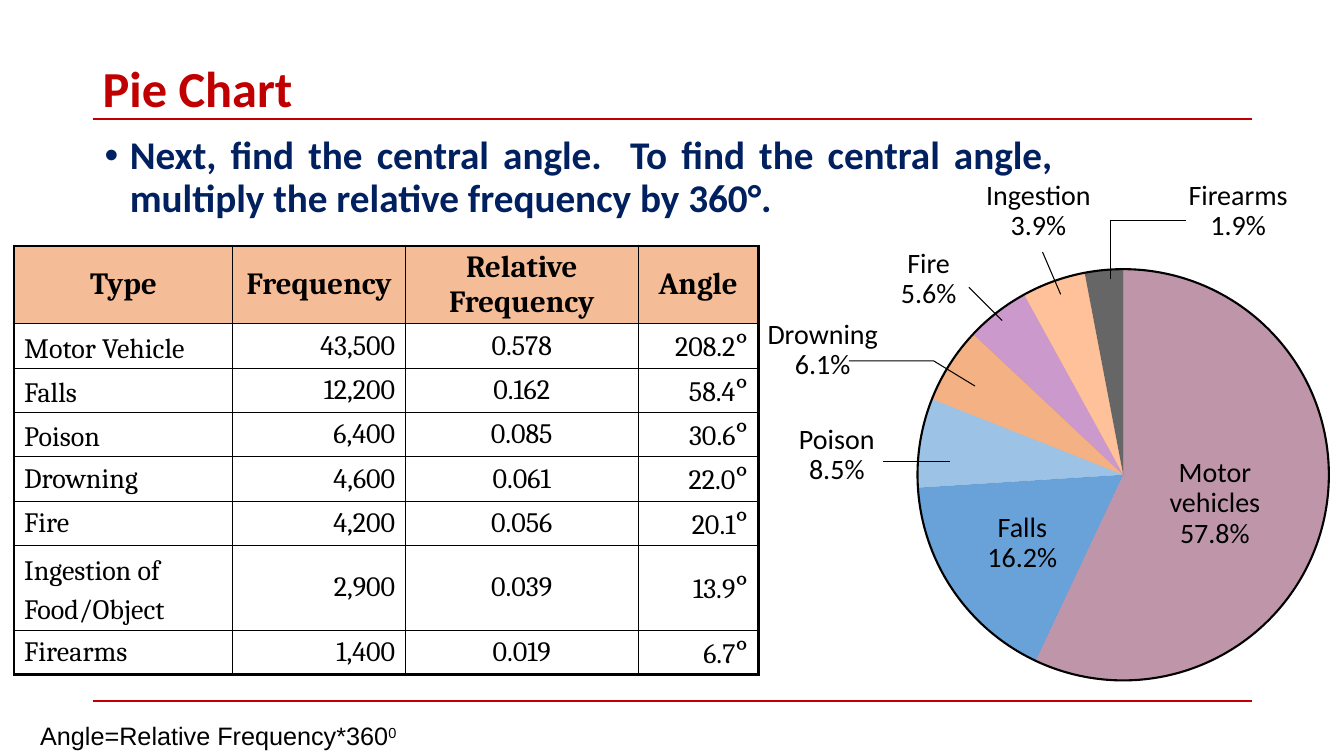
from lxml import etree
from pptx import Presentation
from pptx.chart.data import CategoryChartData
from pptx.dml.color import RGBColor
from pptx.enum.chart import XL_CHART_TYPE
from pptx.enum.shapes import MSO_CONNECTOR, MSO_SHAPE
from pptx.enum.text import MSO_ANCHOR, PP_ALIGN
from pptx.oxml.ns import qn
from pptx.util import Inches, Pt

PIE = XL_CHART_TYPE.PIE
STRAIGHT = MSO_CONNECTOR.STRAIGHT
OVAL = MSO_SHAPE.OVAL
MIDDLE, TOP = MSO_ANCHOR.MIDDLE, MSO_ANCHOR.TOP
LEFT, CENTER, RIGHT, JUSTIFY = PP_ALIGN.LEFT, PP_ALIGN.CENTER, PP_ALIGN.RIGHT, PP_ALIGN.JUSTIFY

COLORS = {
    "red": "C00000", "navy": "002060", "black": "000000", "orange": "ED7D31",
    "plum": "954F72", "blue": "0563C1", "sky": "5B9BD5", "purple": "800080",
    "amber": "FF6600",
}
HEADINGS = ["Type", "Frequency", "Relative Frequency", "Angle"]
DEATHS = [
    ("Motor Vehicle", "43,500", "0.578", "208.2"),
    ("Falls", "12,200", "0.162", "58.4"),
    ("Poison", "6,400", "0.085", "30.6"),
    ("Drowning", "4,600", "0.061", "22.0"),
    ("Fire", "4,200", "0.056", "20.1"),
    ("Ingestion of Food/Object", "2,900", "0.039", "13.9"),
    ("Firearms", "1,400", "0.019", "6.7"),
]
SPACED_TYPES = {"Motor Vehicle", "Falls", "Poison", "Ingestion of Food/Object"}
COLUMN_WIDTHS = [2.17, 1.71, 2.31, 1.19]
ROW_HEIGHTS = [0.77] + [0.44] * 5 + [0.83, 0.44]
COLUMN_ALIGNS = [LEFT, RIGHT, CENTER, RIGHT]
SLICES = [
    ("Motor vehicles", "57.8%", 57, "plum", 60, (11.26, 4.5, 1.58, 1)),
    ("Falls", "16.2%", 17, "blue", 60, (9.1, 5.04, 2.08, 0.7)),
    ("Poison", "8.5%", 7, "sky", 60, (7.26, 4.17, 2.08, 0.7)),
    ("Drowning", "6.1%", 6, "orange", 60, (7.12, 3.13, 2.08, 0.7)),
    ("Fire", "5.6%", 5, "purple", 40, (8.17, 2.42, 2.08, 0.7)),
    ("Ingestion", "3.9%", 5, "amber", 40, (9.26, 1.75, 2.08, 0.7)),
    ("Firearms", "1.9%", 3, "black", 60, (11.24, 1.75, 2.08, 0.7)),
]
STRAIGHT_LEADERS = [
    ((8.76, 4.58), (9.42, 4.58)),
    ((9.61, 2.85), (9.94, 3.18)),
    ((10.34, 2.5), (10.52, 2.92)),
]
BENT_LEADERS = [
    [(11.76, 2.19), (11.01, 2.19), (11.01, 2.77)],
    [(8.42, 3.58), (9.26, 3.58), (9.67, 3.83)],
]
PIE_BOX = [Inches(n) for n in (9.1, 2.67, 4.08, 4.08)]


def rgb(color):
    return RGBColor.from_string(COLORS[color])


def paint(fill, color, opacity):
    fill.solid()
    fill.fore_color.rgb = rgb(color)
    tint = fill._xPr.find(qn("a:solidFill"))[0]
    etree.SubElement(tint, qn("a:alpha"), val=str(opacity * 1000))


def add_run(paragraph, text, size, face, color="black", bold=False):
    run = paragraph.add_run()
    run.text = text
    style = {"size": Pt(size), "name": face, "bold": bold}
    for attribute, value in style.items():
        setattr(run.font, attribute, value)
    run.font.color.rgb = rgb(color)
    return run


def add_text(slide, box, lines, size, face="Calibri", color="black", bold=False,
             align=LEFT, anchor=TOP, spacing=0.9, wrap=True):
    frame = slide.shapes.add_textbox(*[Inches(n) for n in box]).text_frame
    frame.word_wrap = wrap
    frame.vertical_anchor = anchor
    for index, line in enumerate(lines):
        paragraph = frame.add_paragraph() if index else frame.paragraphs[0]
        paragraph.alignment = align
        paragraph.line_spacing = spacing
        add_run(paragraph, line, size, face, color, bold)
    return frame.paragraphs[0]


def add_bullet(paragraph, color):
    properties = paragraph._p.get_or_add_pPr()
    properties.set("marL", str(Inches(0.25)))
    properties.set("indent", str(-Inches(0.25)))
    tint = etree.SubElement(properties, qn("a:buClr"))
    etree.SubElement(tint, qn("a:srgbClr"), val=COLORS[color])
    etree.SubElement(properties, qn("a:buFont"), typeface="Arial")
    etree.SubElement(properties, qn("a:buChar"), char="•")


def add_line(slide, start, end, color, width):
    line = slide.shapes.add_connector(STRAIGHT, *[Inches(n) for n in start + end])
    line.line.color.rgb = rgb(color)
    line.line.width = Pt(width)
    etree.SubElement(line._element.spPr, qn("a:effectLst"))


def outline(shape, width):
    shape.shadow.inherit = False
    shape.fill.background()
    shape.line.color.rgb = rgb("black")
    shape.line.width = Pt(width)


def add_bent_leader(slide, points):
    start, *rest = [(Inches(x), Inches(y)) for x, y in points]
    builder = slide.shapes.build_freeform(*start)
    builder.add_line_segments(rest, close=False)
    outline(builder.convert_to_shape(), 0.75)


def add_borders(cell, outer_edges):
    properties = cell._tc.get_or_add_tcPr()
    for side, is_outer in zip("LRTB", outer_edges):
        width = Pt(2.25 if is_outer else 1)
        edge = etree.SubElement(properties, qn(f"a:ln{side}"), w=str(width))
        fill = etree.SubElement(edge, qn("a:solidFill"))
        etree.SubElement(fill, qn("a:srgbClr"), val=COLORS["black"])


def fill_cell(cell, text, row, column):
    cell.vertical_anchor = MIDDLE
    cell.margin_top = cell.margin_bottom = Inches(0.02)
    add_borders(cell, (column == 0, column == len(HEADINGS) - 1,
                       row == 0, row == len(DEATHS)))
    paragraph = cell.text_frame.paragraphs[0]
    if row == 0:
        paint(cell.fill, "orange", 50)
        paragraph.alignment = CENTER
        add_run(paragraph, text, 22, "Cambria", bold=True)
        return
    cell.fill.background()
    paragraph.alignment = COLUMN_ALIGNS[column]
    if text in SPACED_TYPES:
        paragraph.line_spacing = 1.2
    add_run(paragraph, text, 20, "Cambria")
    if HEADINGS[column] == "Angle":
        add_run(paragraph, "°", 24, "Cambria")


def add_frequency_table(slide):
    rows = [HEADINGS] + DEATHS
    size = (sum(COLUMN_WIDTHS), sum(ROW_HEIGHTS))
    table = slide.shapes.add_table(
        len(rows), len(HEADINGS), Inches(0.14), Inches(2.44),
        *[Inches(n) for n in size]).table
    table.horz_banding = False
    for column, width in zip(table.columns, COLUMN_WIDTHS):
        column.width = Inches(width)
    for row, height in zip(table.rows, ROW_HEIGHTS):
        row.height = Inches(height)
    for row, texts in enumerate(rows):
        for column, text in enumerate(texts):
            fill_cell(table.cell(row, column), text, row, column)


def fill_frame_with_plot(chart):
    plot_area = chart._chartSpace.chart.plotArea
    for layout in plot_area.findall(qn("c:layout")):
        plot_area.remove(layout)
    layout = etree.Element(qn("c:layout"))
    plot_area.insert(0, layout)
    manual = etree.SubElement(layout, qn("c:manualLayout"))
    settings = {"layoutTarget": "inner", "xMode": "edge", "yMode": "edge",
                "x": "0", "y": "0", "w": "1", "h": "1"}
    for tag, value in settings.items():
        etree.SubElement(manual, qn(f"c:{tag}"), val=value)


def add_pie(slide):
    data = CategoryChartData(number_format="0")
    data.categories = [name for name, *_ in SLICES]
    data.add_series("Share", [size for _, _, size, *_ in SLICES])
    chart = slide.shapes.add_chart(PIE, *PIE_BOX, data).chart
    chart.has_title = False
    chart.has_legend = False
    chart.font.name = "Calibri"
    chart.font.size = Pt(20)
    chart.plots[0].vary_by_categories = True
    fill_frame_with_plot(chart)
    for index, (_, _, _, color, opacity, _) in enumerate(SLICES):
        look = chart.plots[0].series[0].points[index].format
        paint(look.fill, color, opacity)
        look.line.fill.background()
    outline(slide.shapes.add_shape(OVAL, *PIE_BOX), 1.5)


def main():
    deck = Presentation()
    deck.slide_width, deck.slide_height = Inches(13.33), Inches(7.5)
    slide = deck.slides.add_slide(deck.slide_layouts[6])
    for y in (1.18, 6.95):
        add_line(slide, (0.92, y), (12.42, y), "red", 1.5)
    add_text(slide, (0.92, 0.61, 11.5, 0.58), ["Pie Chart"], 36,
             color="red", bold=True, anchor=MIDDLE)
    add_frequency_table(slide)
    instruction = add_text(
        slide, (0.94, 1.3, 9.6, 0.95),
        ["Next, find the central angle.  To find the central angle, "
         "multiply the relative frequency by 360°."],
        28, color="navy", bold=True, align=JUSTIFY)
    add_bullet(instruction, "navy")
    add_pie(slide)
    for name, share, _, _, _, box in SLICES:
        add_text(slide, box, [name, share], 20, align=CENTER)
    for start, end in STRAIGHT_LEADERS:
        add_line(slide, start, end, "black", 0.75)
    for points in BENT_LEADERS:
        add_bent_leader(slide, points)
    formula = add_text(slide, (0.3, 7.1, 3.78, 0.4), ["Angle=Relative Frequency*360"],
                       18, face="Arial", spacing=1, wrap=False)
    exponent = add_run(formula, "0", 18, "Arial")
    exponent._r.get_or_add_rPr().set("baseline", "30000")
    deck.save("out.pptx")


if __name__ == "__main__":
    main()
